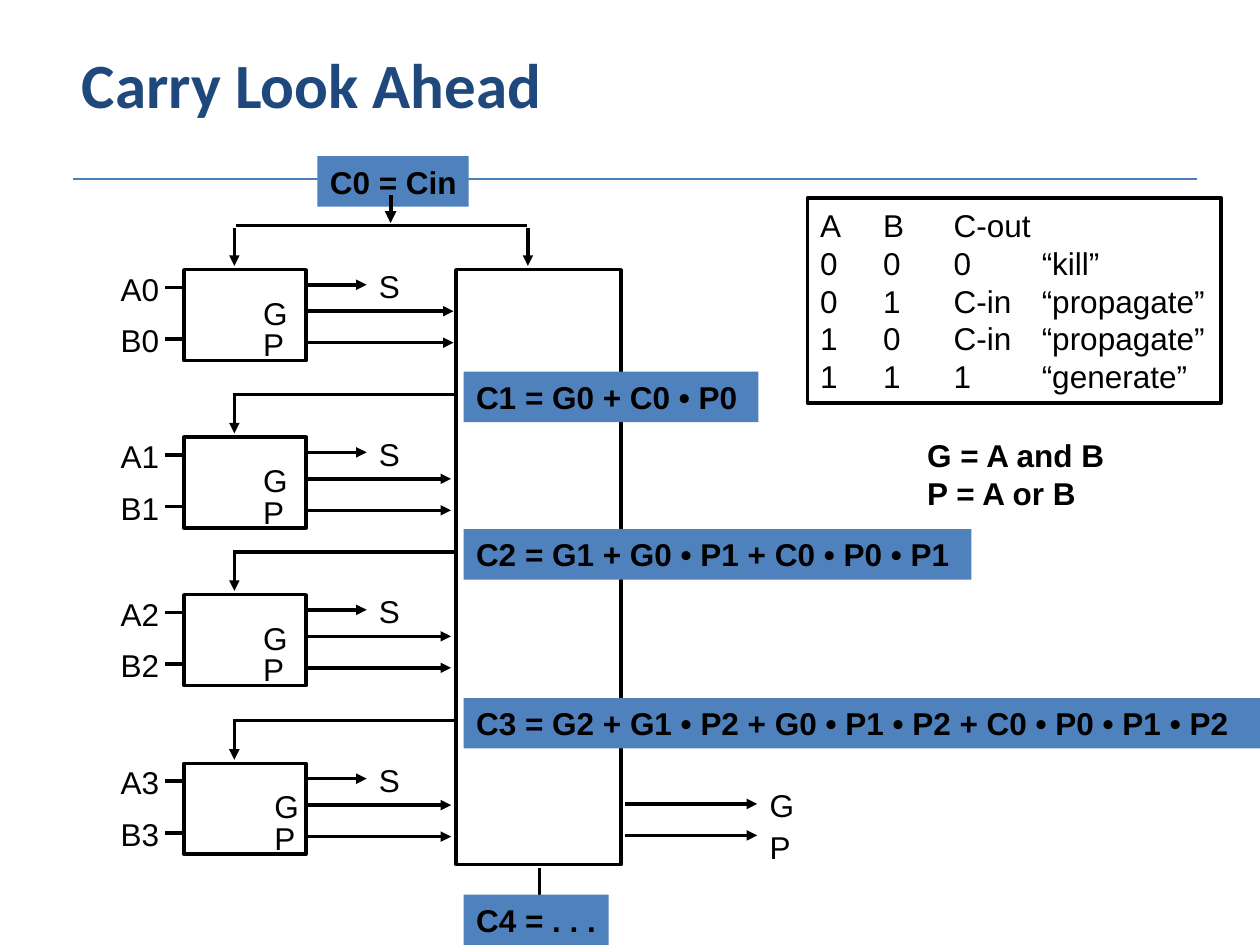
from lxml.etree import SubElement
from pptx import Presentation
from pptx.dml.color import RGBColor as Color
from pptx.enum.shapes import MSO_CONNECTOR as Link, MSO_SHAPE as Shape
from pptx.enum.text import MSO_ANCHOR as Anchor, PP_ALIGN as Align
from pptx.oxml.ns import qn
from pptx.util import Inches, Pt

COLORS = {"ink": "000000", "carry": "4F81BD", "title": "1F497D", "rule": "4B7EBC"}
COLUMNS, ROWS = 10, 7.5
STAGE_TOPS = (2.14, 3.47, 4.72, 6.06)
CARRIES = ("C1 = G0 + C0 • P0", "C2 = G1 + G0 • P1 + C0 • P0 • P1",
           "C3 = G2 + G1 • P2 + G0 • P1 • P2 + C0 • P0 • P1 • P2")
CARRY_WIDTHS = (2.34, 4.03, 6.32)
TRUTH_TABLE = ("A\tB\tC-out", "0\t0\t0\t“kill”", "0\t1\tC-in\t“propagate”",
               "1\t0\tC-in\t“propagate”", "1\t1\t1\t“generate”")


class Diagram:
    """Draws styled elements on one slide, placed in grid columns and rows."""

    def __init__(self, deck):
        self.page = deck.slides.add_slide(deck.slide_layouts[6])
        self.column = deck.slide_width / COLUMNS
        self.row = deck.slide_height / ROWS

    def place(self, *lengths):
        units = (self.column, self.row) * 2
        return [round(length * unit) for length, unit in zip(lengths, units)]

    def letter(self, box, lines, size=18, font="Arial", color="ink", bold=False, tabs=()):
        frame = box.text_frame
        frame.word_wrap = True
        frame.margin_right = 0
        frame.vertical_anchor = Anchor.MIDDLE
        for index, line in enumerate(lines):
            para = frame.paragraphs[0] if index == 0 else frame.add_paragraph()
            para.text = line
            para.alignment = Align.LEFT
            if tabs:
                stops = SubElement(para._p.get_or_add_pPr(), qn("a:tabLst"))
                for stop in tabs:
                    SubElement(stops, qn("a:tab"), pos=str(Inches(stop)), algn="l")
            para.font.size, para.font.name, para.font.bold = Pt(size), font, bold
            para.font.color.rgb = Color.from_string(COLORS[color])

    def text(self, left, top, width, height, *lines, **style):
        box = self.page.shapes.add_textbox(*self.place(left, top, width, height))
        self.letter(box, lines, **style)

    def block(self, left, top, width, height, *lines, fill=None, **style):
        box = self.page.shapes.add_shape(
            Shape.RECTANGLE, *self.place(left, top, width, height))
        box.shadow.inherit = False
        if fill:
            box.fill.solid()
            box.fill.fore_color.rgb = Color.from_string(COLORS[fill])
            box.line.fill.background()
        else:
            box.fill.background()
            box.line.color.rgb = Color.from_string(COLORS["ink"])
            box.line.width = Pt(2)
        self.letter(box, lines, **style)

    def carry(self, left, top, width, label):
        self.block(left, top, width, 0.4, label, fill="carry", bold=True)

    def line(self, left, top, right, bottom, arrow=False, color="ink", weight=2):
        link = self.page.shapes.add_connector(
            Link.STRAIGHT, *self.place(left, top, right, bottom))
        link.line.color.rgb = Color.from_string(COLORS[color])
        link.line.width = Pt(weight)
        properties = link._element.spPr
        if arrow:
            SubElement(properties.find(qn("a:ln")), qn("a:tailEnd"), type="triangle")
        SubElement(properties, qn("a:effectLst"))

    def arrow(self, left, top, right, bottom, weight=2):
        self.line(left, top, right, bottom, arrow=True, weight=weight)

    def stage(self, number, top):
        first, last = number == 0, number == len(STAGE_TOPS) - 1
        self.block(1.46, top, 0.97, 0.72)
        self.arrow(1.86, top - 0.33, 1.86, top - 0.03)
        for name, middle in (("A", top + 0.14), ("B", top + 0.55)):
            self.line(1.31, middle, 1.45, middle)
            self.text(0.86, middle - 0.19, 0.5, 0.4, f"{name}{number}")
        self.arrow(2.44, top + 0.12, 2.91, top + 0.12)
        self.text(2.91, top - 0.07, 0.36, 0.4, "S")
        for name, middle in (("G", top + 0.33), ("P", top + 0.58)):
            self.arrow(2.44, middle, 3.6 if first else 3.58, middle)
            self.text(2.08 if last else 1.99, middle - 0.19, 0.39, 0.4, name)
        if not first:
            self.line(3.62, top - 0.34, 1.85, top - 0.34)


def main():
    deck = Presentation()
    deck.slide_width, deck.slide_height = Inches(10), Inches(7.5)
    slide = Diagram(deck)
    slide.line(0.58, 1.42, 9.5, 1.42, color="rule", weight=0.75)
    slide.text(0.55, 0.31, 9.45, 0.71, "Carry Look Ahead",
               size=36, font="Calibri", color="title", bold=True)
    slide.block(6.41, 1.57, 3.28, 1.63, *TRUTH_TABLE, tabs=(0.5, 1.06, 1.76))
    slide.text(7.26, 3.41, 1.62, 0.7, "G = A and B", "P = A or B", bold=True)

    for number, top in enumerate(STAGE_TOPS):
        slide.stage(number, top)
    slide.block(3.62, 2.14, 1.31, 4.72)
    slide.line(1.87, 1.79, 4.18, 1.79)
    slide.arrow(4.19, 1.81, 4.19, 2.11)
    slide.arrow(4.28, 6.89, 4.28, 7.2)

    slide.carry(2.52, 1.24, 1.2, "C0 = Cin")
    for top, width, label in zip(STAGE_TOPS[1:], CARRY_WIDTHS, CARRIES):
        slide.carry(3.68, top - 0.52, width, label)
    slide.carry(3.68, 7.1, 1.15, "C4 = . . .")
    slide.arrow(3.1, 1.55, 3.1, 1.77, weight=2.25)

    for name, middle, top in (("G", 6.38, 6.19), ("P", 6.63, 6.52)):
        slide.arrow(4.96, middle, 6.01, middle)
        slide.text(6.01, top, 0.39, 0.4, name)
    deck.save("out.pptx")


if __name__ == "__main__":
    main()
